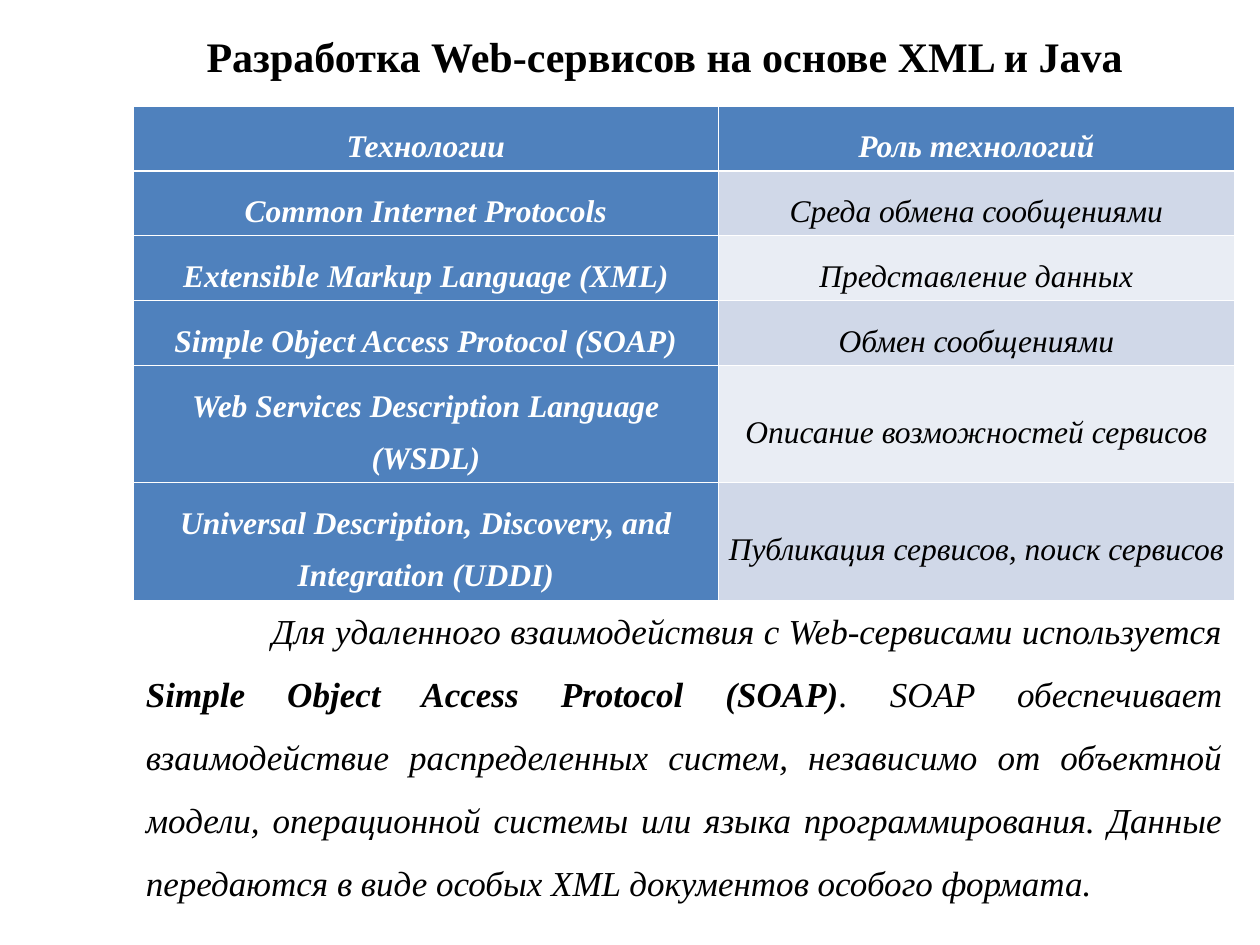
import pptx
import pptx.dml.color
import pptx.enum.text
import pptx.oxml
import pptx.oxml.ns
import pptx.util

Inches, Pt = pptx.util.Inches, pptx.util.Pt
ALIGN = pptx.enum.text.PP_ALIGN
MIDDLE = pptx.enum.text.MSO_ANCHOR.MIDDLE

WHITE, BLACK, BLUE = "FFFFFF", "000000", "4F81BD"
BANDS = ["E9EDF4", "D0D8E8"]
LEFT, WIDTH = 1.06, 8.74
COLUMNS = [4.64, 4.1]
ROW = 0.45
THIN, THICK = 0.45, 1.47

ROWS = [
    ("Технологии", "Роль технологий"),
    ("Common Internet Protocols", "Среда обмена сообщениями"),
    ("Extensible Markup Language (XML)", "Представление данных"),
    ("Simple Object Access Protocol (SOAP)", "Обмен сообщениями"),
    ("Web Services Description Language (WSDL)", "Описание возможностей сервисов"),
    ("Universal Description, Discovery, and Integration (UDDI)",
     "Публикация сервисов, поиск сервисов"),
]
ROW_LINES = [1, 1, 1, 1, 2, 2]
EXPLANATION = [
    ("Для удаленного взаимодействия с Web-сервисами используется ", False),
    ("Simple Object Access Protocol (SOAP)", True),
    (". SOAP обеспечивает взаимодействие распределенных систем, независимо от "
     "объектной модели, операционной системы или языка программирования. "
     "Данные передаются в виде особых XML документов особого формата.", False),
]


def style(font, size, colour, bold=None, italic=None):
    font.name, font.size, font.bold, font.italic = "Times New Roman", Pt(size), bold, italic
    font.color.rgb = pptx.dml.color.RGBColor.from_string(colour)


def add_borders(cell, top, bottom):
    """Draw white cell borders; call before filling, as lines precede the fill."""
    properties = cell._tc.get_or_add_tcPr()
    for side, width in zip("LRTB", (THIN, THIN, top, bottom)):
        properties.append(pptx.oxml.parse_xml(
            f'<a:ln{side} {pptx.oxml.ns.nsdecls("a")} w="{Pt(width)}">'
            f'<a:solidFill><a:srgbClr val="{WHITE}"/></a:solidFill></a:ln{side}>'))


deck = pptx.Presentation()
deck.slide_width, deck.slide_height = Inches(10), Inches(7.5)
page = deck.slides.add_slide(deck.slide_layouts[5])

title = page.shapes.title
title.left, title.top, title.width, title.height = map(Inches, (1.22, 0.21, 8.11, 0.47))
title.text_frame.text = "Разработка Web-сервисов на основе XML и Java"
title.text_frame.vertical_anchor = MIDDLE
para = title.text_frame.paragraphs[0]
para.alignment = ALIGN.CENTER
style(para.font, 24, BLACK, bold=True)

table = page.shapes.add_table(
    len(ROWS), len(COLUMNS), Inches(LEFT), Inches(0.84),
    Inches(WIDTH), Inches(ROW * sum(ROW_LINES))).table
table.horz_banding = False
for column, width in zip(table.columns, COLUMNS):
    column.width = Inches(width)
for r, (texts, lines) in enumerate(zip(ROWS, ROW_LINES)):
    table.rows[r].height = Inches(ROW * lines)
    for c, text in enumerate(texts):
        heading = r == 0 or c == 0
        cell = table.cell(r, c)
        cell.text = text
        cell.vertical_anchor = MIDDLE
        cell.margin_left = cell.margin_right = Inches(0.08)
        add_borders(cell, THICK if r == 1 else THIN, THICK if r == 0 else THIN)
        cell.fill.solid()
        cell.fill.fore_color.rgb = pptx.dml.color.RGBColor.from_string(
            BLUE if heading else BANDS[r % 2])
        para = cell.text_frame.paragraphs[0]
        para.alignment = ALIGN.CENTER
        para.line_spacing = 1.5
        style(para.font, 18, WHITE if heading else BLACK, bold=heading, italic=True)

box = page.shapes.add_textbox(Inches(LEFT), Inches(4.62), Inches(WIDTH), Inches(3.1))
box.text_frame.word_wrap = True
box.text_frame.auto_size = pptx.enum.text.MSO_AUTO_SIZE.SHAPE_TO_FIT_TEXT
para = box.text_frame.paragraphs[0]
para.alignment = ALIGN.JUSTIFY
para.line_spacing = 1.5
para._p.get_or_add_pPr().set("indent", str(Inches(1)))
style(para.font, 20, BLACK, italic=True)
for text, bold in EXPLANATION:
    span = para.add_run()
    span.text = text
    span.font.bold = bold

deck.save("out.pptx")
